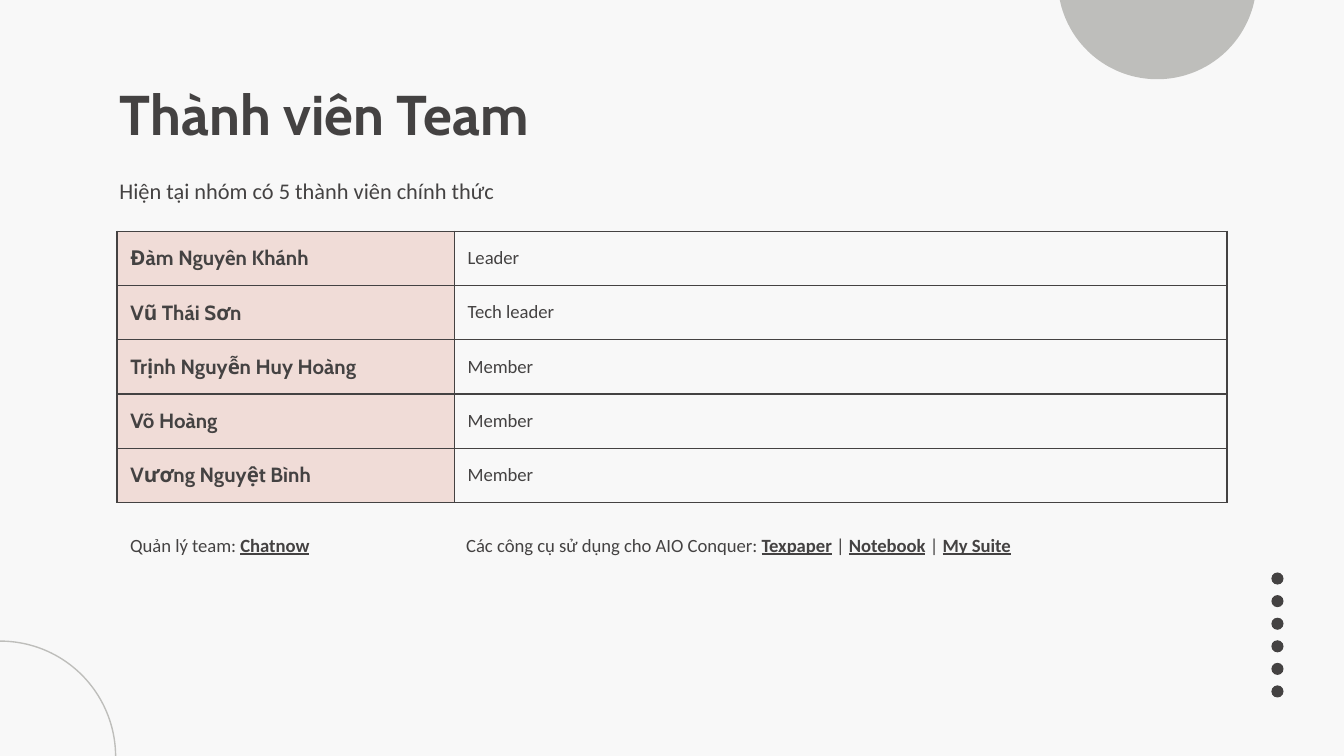
from dataclasses import dataclass
from math import cos, pi, sin

from lxml.etree import SubElement
from pptx import Presentation
from pptx.dml.color import RGBColor as Color
from pptx.enum.shapes import MSO_SHAPE as Shape
from pptx.enum.text import MSO_ANCHOR as Anchor, PP_ALIGN as Align
from pptx.oxml import parse_xml
from pptx.oxml.ns import nsdecls, qn
from pptx.util import Inches, Pt


@dataclass(frozen=True)
class Theme:
    paper: str = "F8F8F8"
    ink: str = "444242"
    grey: str = "BEBEBB"
    accent: str = "CE644C"
    accent_alpha: int = 19
    heading: str = "Cabin"
    body: str = "Calibri"
    title_size: int = 30
    intro_size: int = 12
    name_size: int = 11
    small_size: int = 10
    border: float = 0.75


THEME = Theme()
MARGINS = {f"margin_{side}": Inches(0.1) for side in ("left", "top", "right", "bottom")}
MEMBERS = [
    ("Đàm Nguyên Khánh", "Leader"),
    ("Vũ Thái Sơn", "Tech leader"),
    ("Trịnh Nguyễn Huy Hoàng", "Member"),
    ("Võ Hoàng", "Member"),
    ("Vương Nguyệt Bình", "Member"),
]
MANAGEMENT = [("Quản lý team: ", False), ("Chatnow", True)]
TOOLS = [
    ("Các công cụ sử dụng cho AIO Conquer: ", False),
    ("Texpaper", True), (" | ", False),
    ("Notebook", True), (" | ", False),
    ("My Suite", True),
]


def set_values(target, values):
    for name, value in values.items():
        setattr(target, name, value)


def format_font(font, size, name=THEME.body, bold=False, underline=False):
    set_values(font, {"size": Pt(size), "name": name, "bold": bold, "underline": underline})
    font.color.rgb = Color.from_string(THEME.ink)


def format_frame(frame):
    set_values(frame, {"word_wrap": True, "vertical_anchor": Anchor.TOP, **MARGINS})


def add_title(page, text):
    title = page.shapes.title
    place = {"left": 0.79, "top": 0.49, "width": 8.43, "height": 0.63}
    set_values(title, {side: Inches(length) for side, length in place.items()})
    format_frame(title.text_frame)
    para = title.text_frame.paragraphs[0]
    para.alignment = Align.LEFT
    span = para.add_run()
    span.text = text
    format_font(span.font, THEME.title_size, THEME.heading, bold=True)


def add_text(page, place, spans, size, line_spacing=1.0):
    """Add one paragraph from (text, emphasised) pairs."""
    box = page.shapes.add_textbox(*map(Inches, place))
    format_frame(box.text_frame)
    para = box.text_frame.paragraphs[0]
    para.line_spacing = line_spacing
    for text, emphasised in spans:
        span = para.add_run()
        span.text = text
        format_font(span.font, size, bold=emphasised, underline=emphasised)


def add_borders(cell):
    properties = cell._tc.get_or_add_tcPr()
    for index, side in enumerate("LRTB"):
        properties.insert(index, parse_xml(
            f'<a:ln{side} {nsdecls("a")} w="{Pt(THEME.border)}"><a:solidFill>'
            f'<a:srgbClr val="{THEME.ink}"/></a:solidFill></a:ln{side}>'))


def fill_cell(cell, color, alpha=100):
    cell.fill.solid()
    cell.fill.fore_color.rgb = Color.from_string(color)
    if alpha < 100:
        tint = cell._tc.tcPr.find(f'{qn("a:solidFill")}/{qn("a:srgbClr")}')
        SubElement(tint, qn("a:alpha"), val=str(alpha * 1000))


def add_cell_text(cell, text, space_after=0, **font_values):
    set_values(cell, {"vertical_anchor": Anchor.MIDDLE, **MARGINS})
    para = cell.text_frame.paragraphs[0]
    para.space_after = Pt(space_after)
    span = para.add_run()
    span.text = text
    format_font(span.font, **font_values)


def add_member_table(page):
    place = map(Inches, (0.87, 1.72, 8.27, 2.02))
    table = page.shapes.add_table(len(MEMBERS), 2, *place).table
    set_values(table, {"first_row": False, "horz_banding": False})
    for column, width in zip(table.columns, (2.51, 5.75)):
        column.width = Inches(width)
    for row, (name, role) in zip(table.rows, MEMBERS):
        name_cell, role_cell = row.cells
        fill_cell(name_cell, THEME.accent, THEME.accent_alpha)
        fill_cell(role_cell, THEME.paper)
        add_cell_text(name_cell, name, size=THEME.name_size, name=THEME.heading, bold=True)
        add_cell_text(role_cell, role, space_after=16, size=THEME.small_size)
        for cell in row.cells:
            add_borders(cell)


def paint(shape, color):
    shape.shadow.inherit = False
    shape.fill.solid()
    shape.fill.fore_color.rgb = Color.from_string(color)
    shape.line.fill.background()


def add_half_disc(page, center_x, flat_y, radius, steps=90):
    angles = [pi * step / steps for step in range(steps + 1)]
    points = [(Inches(center_x + radius * cos(angle)), Inches(flat_y + radius * sin(angle)))
              for angle in angles]
    builder = page.shapes.build_freeform(*points[0])
    builder.add_line_segments(points[1:], close=True)
    paint(builder.convert_to_shape(), THEME.grey)


def add_dots(page, left, first_top, last_top, size, count):
    step = (last_top - first_top) / (count - 1)
    for index in range(count):
        place = (left, first_top + index * step, size, size)
        paint(page.shapes.add_shape(Shape.OVAL, *map(Inches, place)), THEME.ink)


def add_ring(page, place):
    ring = page.shapes.add_shape(Shape.OVAL, *map(Inches, place))
    ring.shadow.inherit = False
    ring.fill.background()
    ring.line.color.rgb = Color.from_string(THEME.grey)
    ring.line.width = Pt(THEME.border)


def main():
    deck = Presentation()
    width = Inches(10)
    set_values(deck, {"slide_width": width, "slide_height": width * 9 // 16})
    page = deck.slides.add_slide(deck.slide_layouts[5])
    page.background.fill.solid()
    page.background.fill.fore_color.rgb = Color.from_string(THEME.paper)

    add_half_disc(page, center_x=8.61, flat_y=-0.15, radius=0.74)
    add_dots(page, left=9.46, first_top=4.26, last_top=5.1, size=0.09, count=6)
    add_ring(page, (-0.86, 4.77, 1.72, 1.72))

    add_title(page, "Thành viên Team")
    intro = [("Hiện tại nhóm có 5 thành viên chính thức", False)]
    add_text(page, (0.79, 1.22, 8.43, 0.4), intro, THEME.intro_size)
    add_text(page, (0.87, 3.85, 2.34, 0.5), MANAGEMENT, THEME.small_size, 1.15)
    add_text(page, (3.37, 3.85, 6.05, 0.5), TOOLS, THEME.small_size, 1.15)
    add_member_table(page)
    deck.save("out.pptx")


if __name__ == "__main__":
    main()
